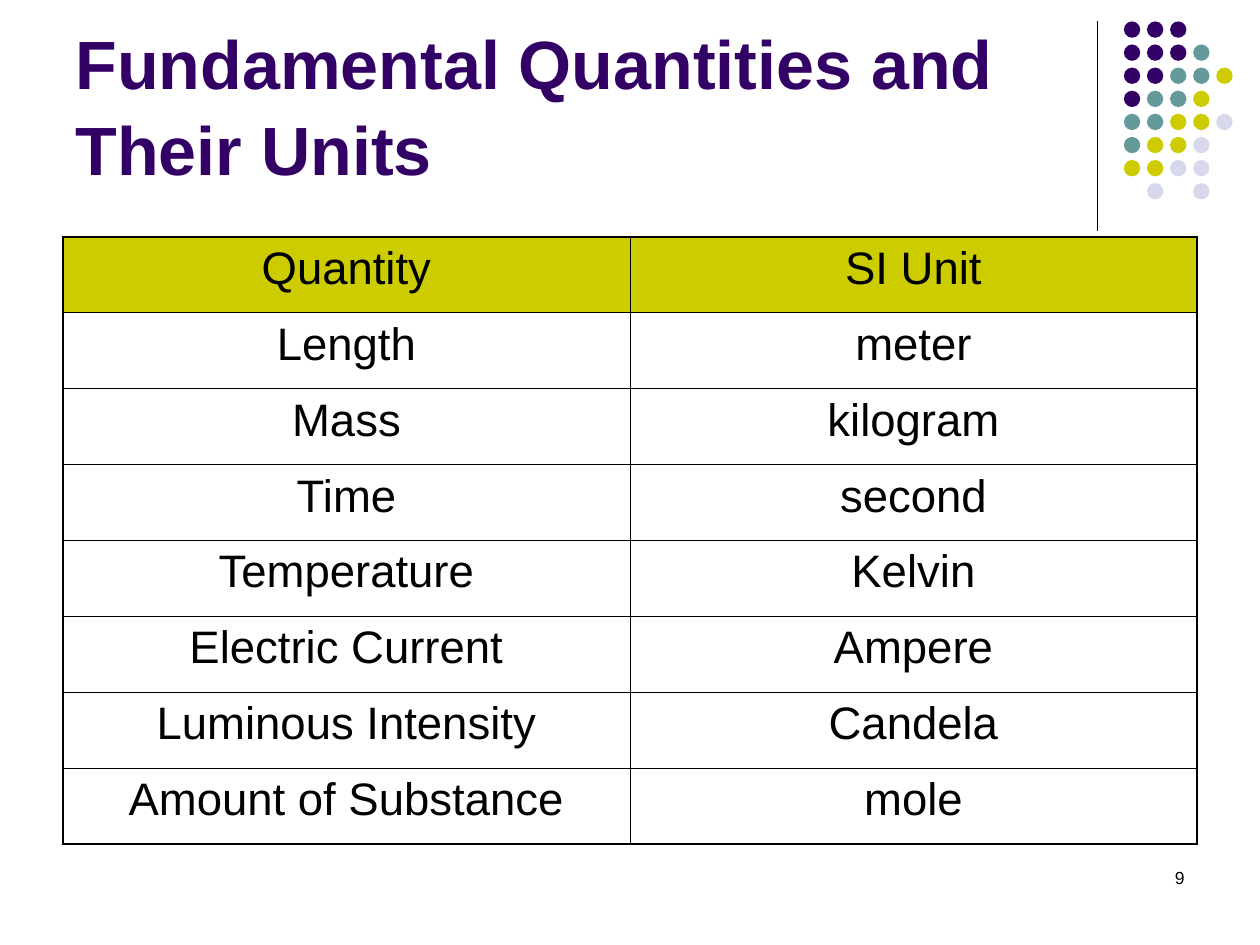
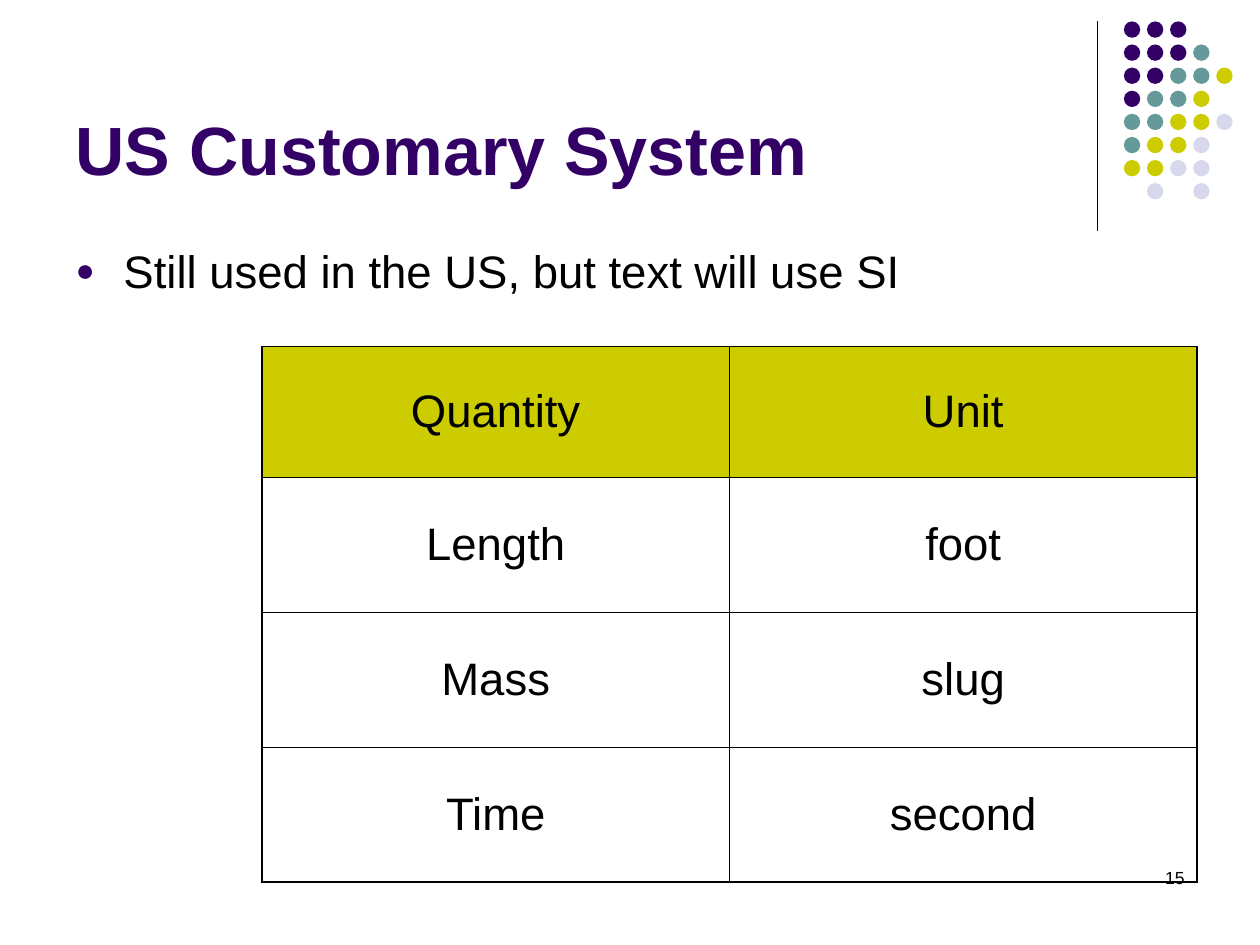
import lxml.etree
import pptx
import pptx.dml.color
import pptx.enum.shapes
import pptx.enum.text
import pptx.oxml.ns
import pptx.util

Inches = pptx.util.Inches
Pt = pptx.util.Pt
ALIGN = pptx.enum.text.PP_ALIGN
ANCHOR = pptx.enum.text.MSO_ANCHOR


def color(hex_string):
    return pptx.dml.color.RGBColor.from_string(hex_string)


def add_xml(parent, tag, **attributes):
    return lxml.etree.SubElement(parent, pptx.oxml.ns.qn(tag), attributes)


class UnitsDeck:
    FONT = "Arial"
    BLACK = "000000"
    PURPLE = "330066"
    OLIVE = "CCCC00"
    DOT_COLORS = {"P": PURPLE, "T": "669999", "O": OLIVE, "L": "D8D8EC"}
    DOT_ROWS = ["PPP", "PPPT", "PPTTO", "PTTO", "TTOOL", "TOOL", "OOLL", " L L"]
    DOT_SIZE = 0.13
    DOT_PITCH = 0.55 / 3
    THIN, THICK = 0.45, 1.08

    def __init__(self):
        self.presentation = pptx.Presentation()
        self.presentation.slide_width = Inches(10)
        self.presentation.slide_height = Inches(7.5)
        self.slide = None

    def new_slide(self, layout_index, title, number):
        layout = self.presentation.slide_layouts[layout_index]
        self.slide = self.presentation.slides.add_slide(layout)
        self.divider()
        self.dots()
        self.title(title)
        self.page_number(number)

    def place(self, shape, left, top, width, height):
        shape.left, shape.top = Inches(left), Inches(top)
        shape.width, shape.height = Inches(width), Inches(height)

    def styled_run(self, paragraph, text, size, alignment=ALIGN.LEFT, hex_string=BLACK, bold=False):
        paragraph.alignment = alignment
        run = paragraph.add_run()
        run.text = text
        run.font.name = self.FONT
        run.font.size = Pt(size)
        run.font.bold = bold
        run.font.color.rgb = color(hex_string)

    def divider(self):
        line = self.slide.shapes.add_connector(
            pptx.enum.shapes.MSO_CONNECTOR.STRAIGHT,
            Inches(8.71), Inches(0.17), Inches(8.71), Inches(1.83))
        line.line.color.rgb = color(self.BLACK)
        line.line.width = Pt(0.75)
        add_xml(line._element.spPr, "a:effectLst")

    def dots(self):
        group = self.slide.shapes.add_group_shape()
        for row, letters in enumerate(self.DOT_ROWS):
            for column, letter in enumerate(letters):
                if letter == " ":
                    continue
                dot = group.shapes.add_shape(
                    pptx.enum.shapes.MSO_SHAPE.OVAL,
                    Inches(8.92 + column * self.DOT_PITCH),
                    Inches(0.17 + row * self.DOT_PITCH),
                    Inches(self.DOT_SIZE), Inches(self.DOT_SIZE))
                dot.shadow.inherit = False
                dot.fill.solid()
                dot.fill.fore_color.rgb = color(self.DOT_COLORS[letter])
                dot.line.fill.background()

    def title(self, text):
        shape = self.slide.shapes.title
        self.place(shape, 0.5, 0.13, 8.25, 1.42)
        frame = shape.text_frame
        frame.auto_size = pptx.enum.text.MSO_AUTO_SIZE.NONE
        frame.vertical_anchor = ANCHOR.BOTTOM
        paragraph = frame.paragraphs[0]
        paragraph.line_spacing = 1.05
        self.styled_run(paragraph, text, 39, hex_string=self.PURPLE, bold=True)

    def page_number(self, number):
        box = self.slide.shapes.add_textbox(
            Inches(7.17), Inches(6.83), Inches(2.33), Inches(0.5))
        box.text_frame.word_wrap = True
        self.styled_run(box.text_frame.paragraphs[0], str(number), 10, ALIGN.RIGHT)

    def bullet(self, text):
        shape = self.slide.placeholders[1]
        self.place(shape, 0.5, 1.88, 9.08, 4.82)
        shape.text_frame.auto_size = pptx.enum.text.MSO_AUTO_SIZE.NONE
        paragraph = shape.text_frame.paragraphs[0]
        paragraph.space_before = Pt(6.5)
        self.styled_run(paragraph, text, 26)
        properties = paragraph._p.get_or_add_pPr()
        properties.set("marL", str(Inches(0.38)))
        properties.set("indent", str(-Inches(0.38)))
        bullet_color = add_xml(properties, "a:buClr")
        add_xml(bullet_color, "a:srgbClr", val=self.PURPLE)
        add_xml(properties, "a:buSzPct", val="70000")
        add_xml(properties, "a:buFont", typeface=self.FONT)
        add_xml(properties, "a:buChar", char="●")

    def borders(self, cell, outer_sides):
        properties = cell._tc.get_or_add_tcPr()
        for position, (side, is_outer) in enumerate(outer_sides.items()):
            width = Pt(self.THICK if is_outer else self.THIN)
            line = add_xml(properties, f"a:ln{side}", w=str(width))
            add_xml(add_xml(line, "a:solidFill"), "a:srgbClr", val=self.BLACK)
            properties.insert(position, line)

    def table(self, rows, left, top, width, heights, anchor):
        table = self.slide.shapes.add_table(
            len(rows), len(rows[0]), Inches(left), Inches(top),
            Inches(width), Inches(sum(heights))).table
        table.first_row = table.horz_banding = False
        last_row, last_column = len(rows) - 1, len(rows[0]) - 1
        for row, texts in enumerate(rows):
            table.rows[row].height = Inches(heights[row])
            for column, text in enumerate(texts):
                cell = table.cell(row, column)
                cell.vertical_anchor = anchor
                if row == 0:
                    cell.fill.solid()
                    cell.fill.fore_color.rgb = color(self.OLIVE)
                else:
                    cell.fill.background()
                self.borders(cell, {
                    "L": column == 0, "R": column == last_column,
                    "T": row == 0, "B": row == last_row})
                paragraph = cell.text_frame.paragraphs[0]
                paragraph.space_before = Pt(6.5)
                self.styled_run(paragraph, text, 26, ALIGN.CENTER)


def main():
    deck = UnitsDeck()

    deck.new_slide(5, "Fundamental Quantities and Their Units", 9)
    si_units = [
        ("Quantity", "SI Unit"),
        ("Length", "meter"),
        ("Mass", "kilogram"),
        ("Time", "second"),
        ("Temperature", "Kelvin"),
        ("Electric Current", "Ampere"),
        ("Luminous Intensity", "Candela"),
        ("Amount of Substance", "mole"),
    ]
    deck.table(si_units, 0.5, 1.88, 9, [4.82 / len(si_units)] * len(si_units), ANCHOR.TOP)

    deck.new_slide(1, "US Customary System", 15)
    deck.bullet("Still used in the US, but text will use SI")
    customary_units = [
        ("Quantity", "Unit"),
        ("Length", "foot"),
        ("Mass", "slug"),
        ("Time", "second"),
    ]
    deck.table(customary_units, 2.08, 2.75, 7.42, [1.04] + [1.07] * 3, ANCHOR.MIDDLE)

    deck.presentation.save("out.pptx")


if __name__ == "__main__":
    main()
